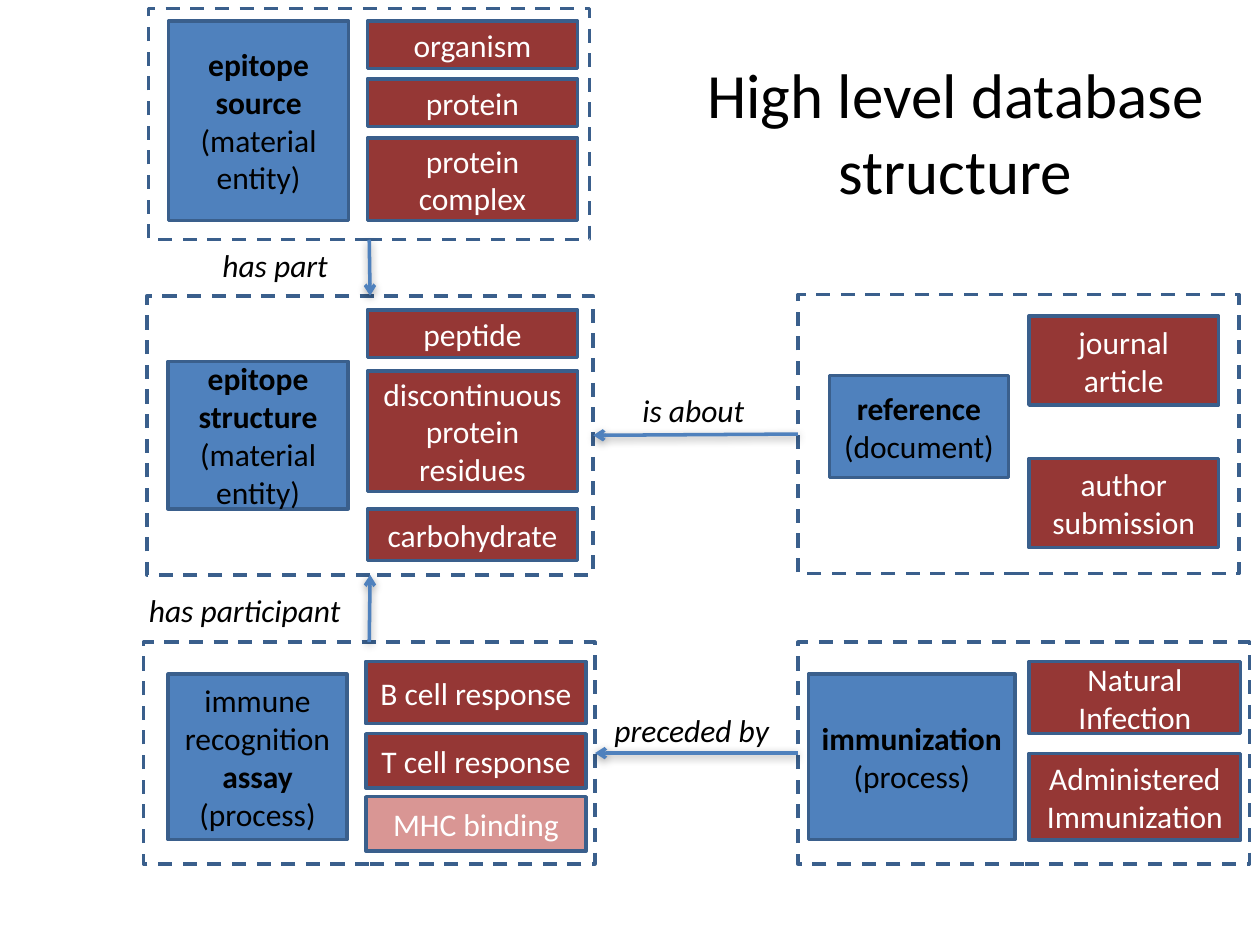
"""Build the slide on the high level structure of an epitope database."""
from dataclasses import dataclass

from lxml import etree
from pptx import Presentation
from pptx.dml.color import RGBColor
from pptx.enum import dml, shapes, text
from pptx.oxml import ns
from pptx.util import Pt

BLUE = RGBColor(0x4F, 0x81, 0xBD)
EDGE = RGBColor(0x3A, 0x5F, 0x8C)
RED = RGBColor(0x95, 0x37, 0x35)
PINK = RGBColor(0xD9, 0x96, 0x94)
BLACK = RGBColor(0, 0, 0)
WHITE = RGBColor(0xFF, 0xFF, 0xFF)
FONT = "Calibri"
TOP, LEFT, BASE, RIGHT = range(4)
SHADE = (
    f'<a:effectLst {ns.nsdecls("a")}>'
    '<a:outerShdw blurRad="63500" dist="20000" dir="5400000" rotWithShape="0">'
    '<a:srgbClr val="000000"><a:alpha val="38000"/></a:srgbClr>'
    "</a:outerShdw></a:effectLst>"
)


@dataclass
class Area:
    x: float
    y: float
    w: float
    h: float

    def dims(self) -> list:
        return [Pt(n) for n in (self.x, self.y, self.w, self.h)]


@dataclass
class Run:
    words: str
    bold: bool = False


@dataclass
class Kind:
    words: str
    y: float
    h: float
    fill: RGBColor = RED


@dataclass
class Group:
    frame: Area
    core: Area
    paras: list[list[Run]]
    x: float
    w: float
    kinds: list[Kind]


@dataclass
class Link:
    start: str
    side: int
    end: str
    goal: int
    words: str
    label: Area


GROUPS = {
    "source": Group(
        Area(85, 5, 252, 132), Area(96.3, 12, 103, 114),
        [[Run("epitope source ", True), Run("(material entity)")]],
        210, 120,
        [Kind("organism", 12, 27.3), Kind("protein", 45, 27.3),
         Kind("protein complex", 79, 47)]),
    "structure": Group(
        Area(84, 169, 255, 159.5), Area(96, 206.5, 103, 84.3),
        [[Run("epitope structure", True)], [Run("(material entity)")]],
        210, 120,
        [Kind("peptide", 177, 27.3),
         Kind("discontinuous protein residues", 212, 69),
         Kind("carbohydrate", 291, 29.3)]),
    "assay": Group(
        Area(82, 367, 258, 126.7), Area(96, 385.3, 102.3, 94.5),
        [[Run("immune recognition "), Run("assay ", True), Run("(process)")]],
        209, 126,
        [Kind("B cell response", 378, 35.5),
         Kind("T cell response", 419.3, 31),
         Kind("MHC binding", 455.3, 31, PINK)]),
    "reference": Group(
        Area(456, 168.3, 252, 159.5), Area(474, 214.7, 102.2, 58.2),
        [[Run("reference ", True), Run("(document)")]],
        588, 108.3,
        [Kind("journal article", 180.5, 51),
         Kind("author submission", 262, 51)]),
    "immunization": Group(
        Area(456, 367, 258, 126.7), Area(462, 385.3, 118, 94.5),
        [[Run("immunization", True), Run(" (process)")]],
        588, 121,
        [Kind("Natural Infection", 378, 41.3),
         Kind("Administered Immunization", 430.5, 49.5)]),
}

LINKS = [
    Link("source", BASE, "structure", TOP, "has part", Area(120, 137, 84, 29)),
    Link("assay", TOP, "structure", BASE, "has participant",
         Area(78, 334, 146, 29)),
    Link("reference", LEFT, "structure", RIGHT, "is about",
         Area(360, 219.8, 90, 29)),
    Link("immunization", LEFT, "assay", RIGHT, "preceded by",
         Area(344, 403, 119, 29)),
]


def write(para, run: Run, color: RGBColor, size: float = 18,
          slant: bool = False) -> None:
    item = para.add_run()
    item.text = run.words
    font = item.font
    font.name, font.size = FONT, Pt(size)
    font.bold, font.italic = run.bold, slant
    font.color.rgb = color


def draw_rect(slide, area: Area, fill: RGBColor | None = None):
    rect = slide.shapes.add_shape(shapes.MSO_SHAPE.RECTANGLE, *area.dims())
    rect.shadow.inherit = False
    rect.line.color.rgb = EDGE
    rect.line.width = Pt(2)
    if fill is None:
        rect.fill.background()
        rect.line.dash_style = dml.MSO_LINE.DASH
    else:
        rect.fill.solid()
        rect.fill.fore_color.rgb = fill
    return rect


def draw_box(slide, area: Area, fill: RGBColor, paras: list[list[Run]],
             color: RGBColor) -> None:
    frame = draw_rect(slide, area, fill).text_frame
    frame.word_wrap = True
    frame.vertical_anchor = text.MSO_ANCHOR.MIDDLE
    for i, runs in enumerate(paras):
        para = frame.add_paragraph() if i else frame.paragraphs[0]
        para.alignment = text.PP_ALIGN.CENTER
        for run in runs:
            write(para, run, color)


def draw_group(slide, group: Group):
    frame = draw_rect(slide, group.frame)
    draw_box(slide, group.core, BLUE, group.paras, BLACK)
    for kind in group.kinds:
        area = Area(group.x, kind.y, group.w, kind.h)
        draw_box(slide, area, kind.fill, [[Run(kind.words)]], WHITE)
    return frame


def draw_link(slide, link: Link, frames: dict) -> None:
    line = slide.shapes.add_connector(
        shapes.MSO_CONNECTOR.STRAIGHT, Pt(0), Pt(0), Pt(0), Pt(0))
    line.begin_connect(frames[link.start], link.side)
    line.end_connect(frames[link.end], link.goal)
    line.line.color.rgb = BLUE
    line.line.width = Pt(2)
    stroke = line.line._get_or_add_ln()
    etree.SubElement(stroke, ns.qn("a:tailEnd"), type="arrow")
    line._element.spPr.append(etree.fromstring(SHADE))

    frame = slide.shapes.add_textbox(*link.label.dims()).text_frame
    frame.word_wrap = True
    frame.auto_size = text.MSO_AUTO_SIZE.SHAPE_TO_FIT_TEXT
    write(frame.paragraphs[0], Run(link.words), BLACK, slant=True)


def set_title(slide, words: str, area: Area) -> None:
    title = slide.shapes.title
    title.left, title.top, title.width, title.height = area.dims()
    frame = title.text_frame
    frame.word_wrap = True
    frame.auto_size = text.MSO_AUTO_SIZE.NONE
    frame.vertical_anchor = text.MSO_ANCHOR.MIDDLE
    para = frame.paragraphs[0]
    para.alignment = text.PP_ALIGN.CENTER
    write(para, Run(words), BLACK, 36)


def main() -> None:
    deck = Presentation()
    deck.slide_width, deck.slide_height = Pt(720), Pt(540)
    slide = deck.slides.add_slide(deck.slide_layouts[5])
    set_title(slide, "High level database structure", Area(378, 30, 336, 90))
    frames = {name: draw_group(slide, group) for name, group in GROUPS.items()}
    for link in LINKS:
        draw_link(slide, link, frames)
    deck.save("out.pptx")


if __name__ == "__main__":
    main()
